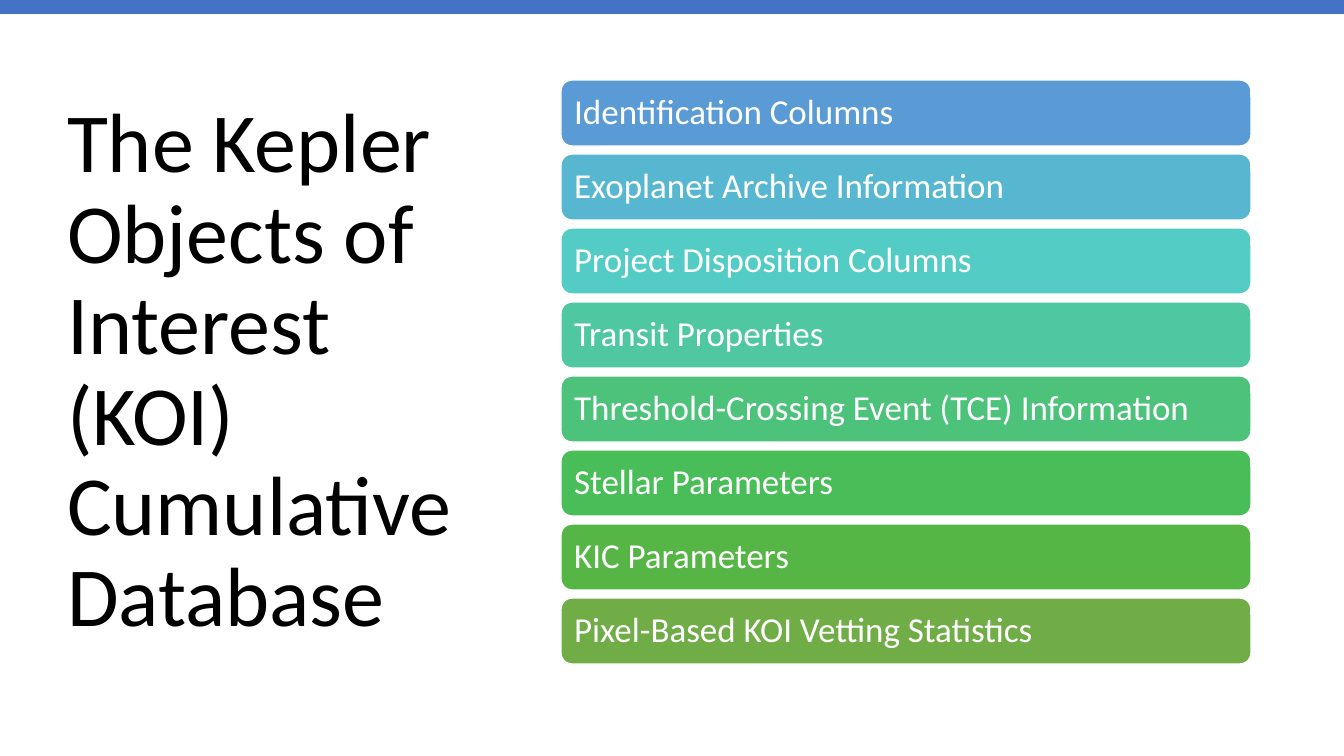
from pptx import Presentation
from pptx.dml.color import RGBColor
from pptx.enum.shapes import MSO_SHAPE as SHAPE
from pptx.enum.text import MSO_ANCHOR as ANCHOR, MSO_AUTO_SIZE as AUTO, PP_ALIGN as ALIGN
from pptx.util import Emu, Pt

BLACK = RGBColor(0x00, 0x00, 0x00)
WHITE = RGBColor(0xFF, 0xFF, 0xFF)
BLUE = RGBColor(0x44, 0x72, 0xC4)
COLUMN_GROUPS = [
    ("Identification Columns", RGBColor(0x5B, 0x9B, 0xD5)),
    ("Exoplanet Archive Information", RGBColor(0x57, 0xB7, 0xD1)),
    ("Project Disposition Columns", RGBColor(0x53, 0xCC, 0xC5)),
    ("Transit Properties", RGBColor(0x4F, 0xC7, 0xA0)),
    ("Threshold-Crossing Event (TCE) Information", RGBColor(0x4C, 0xC2, 0x7B)),
    ("Stellar Parameters", RGBColor(0x48, 0xBD, 0x58)),
    ("KIC Parameters", RGBColor(0x55, 0xB6, 0x46)),
    ("Pixel-Based KOI Vetting Statistics", RGBColor(0x70, 0xAD, 0x47)),
]
BAR_LEFT, BAR_TOP, BAR_WIDTH, BAR_HEIGHT, BAR_PITCH = 561, 80, 690, 66, 74


def px(n):
    return Emu(round(n * 914400 / 100.8))


def write(tf, text, size, color):
    tf.word_wrap = True
    tf.auto_size = AUTO.NONE
    tf.vertical_anchor = ANCHOR.MIDDLE
    p = tf.paragraphs[0]
    p.text = text
    p.alignment = ALIGN.LEFT
    p.line_spacing = 0.9
    p.font.name = "Calibri"
    p.font.size = Pt(size)
    p.font.color.rgb = color


prs = Presentation()
prs.slide_width, prs.slide_height = px(1344), px(756)
s = prs.slides.add_slide(prs.slide_layouts[5])

title = s.shapes.title
title.left, title.top, title.width, title.height = px(57), px(69), px(419), px(607)
write(title.text_frame, "The Kepler Objects of Interest (KOI) Cumulative Database", 60, BLACK)

band = s.shapes.add_shape(SHAPE.RECTANGLE, 0, 0, px(1344), px(14))
band.shadow.inherit = False
band.fill.solid()
band.fill.fore_color.rgb = BLUE
band.line.fill.background()

for i, (label, color) in enumerate(COLUMN_GROUPS):
    bar = s.shapes.add_shape(SHAPE.ROUNDED_RECTANGLE, px(BAR_LEFT), px(BAR_TOP + i * BAR_PITCH),
                             px(BAR_WIDTH), px(BAR_HEIGHT))
    bar.shadow.inherit = False
    bar.fill.solid()
    bar.fill.fore_color.rgb = color
    bar.line.color.rgb = WHITE
    bar.line.width = Pt(1)
    tf = bar.text_frame
    tf.margin_left = tf.margin_right = tf.margin_top = tf.margin_bottom = px(10)
    write(tf, label, 25, WHITE)

prs.save("out.pptx")
